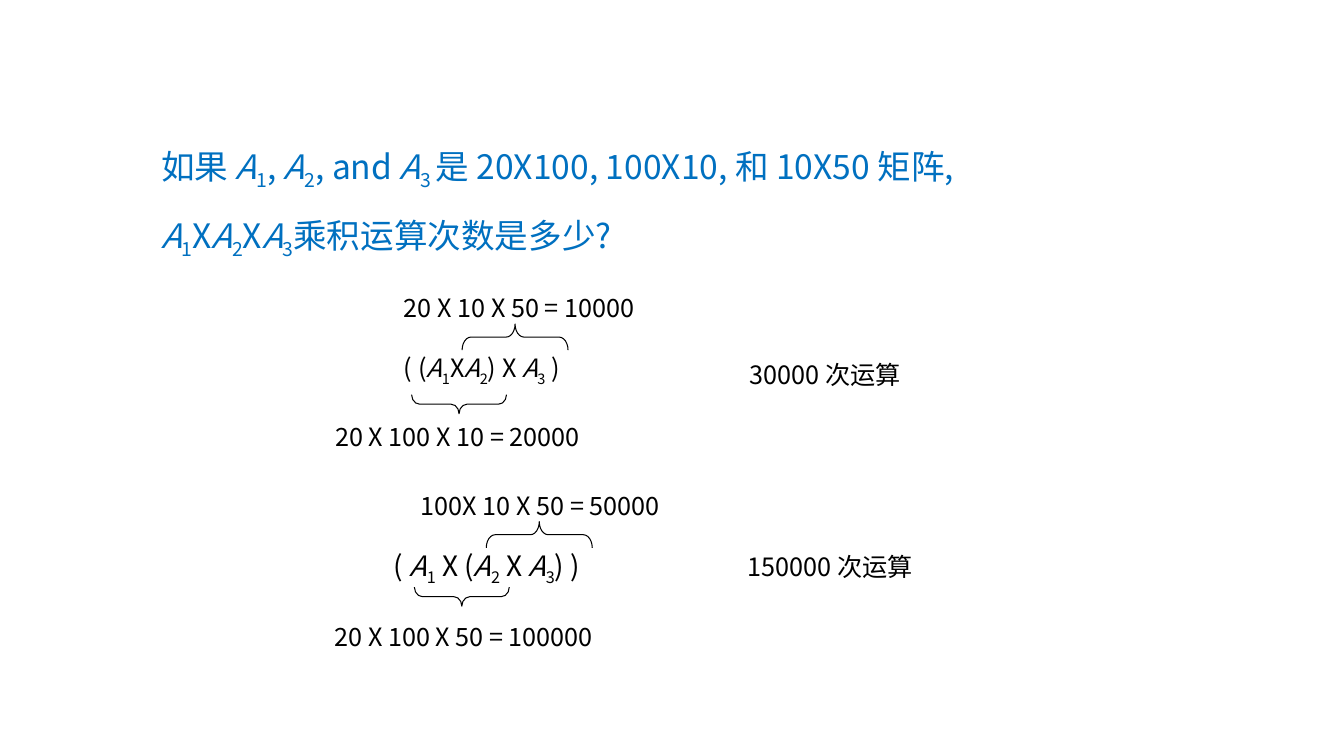
from dataclasses import dataclass

from lxml import etree
from pptx import Presentation
from pptx import util as u
from pptx.dml.color import RGBColor
from pptx.enum import shapes
from pptx.oxml import ns


@dataclass(frozen=True)
class Theme:
    font: str = "Noto Sans CJK SC"
    ink: RGBColor = RGBColor(0, 0, 0)
    blue: RGBColor = RGBColor(0x00, 0x70, 0xC0)
    ask: int = 24
    large: int = 20
    base: int = 18
    line: float = 0.75


THEME = Theme()


def add_run(para, words, size, color):
    run = para.add_run()
    run.text = words
    run.font.name = THEME.font
    run.font.size = u.Pt(size)
    run.font.color.rgb = color
    props = run.font._element
    etree.SubElement(props, ns.qn("a:ea")).set("typeface", THEME.font)
    return run


def add_text(slide, words, left, top, width, high=1.02,
             size=THEME.base, color=THEME.ink, space=1.0):
    box = slide.shapes.add_textbox(u.Cm(left), u.Cm(top), u.Cm(width), u.Cm(high))
    frame = box.text_frame
    frame.word_wrap = True
    para = frame.paragraphs[0]
    para.line_spacing = space
    # "|" cycles through plain, italic and subscript runs
    for index, part in enumerate(words.split("|")):
        run = add_run(para, part, size, color)
        if index % 3 == 1:
            run.font.italic = True
        elif index % 3 == 2:
            run.font._element.set("baseline", "-25000")


def add_brace(slide, left, top, width, high, turn, curve):
    brace = slide.shapes.add_shape(
        shapes.MSO_SHAPE.LEFT_BRACE,
        u.Cm(left), u.Cm(top), u.Cm(width), u.Cm(high))
    brace.rotation = turn
    brace.adjustments[0] = curve
    brace.shadow.inherit = False
    brace.fill.background()
    brace.line.color.rgb = THEME.ink
    brace.line.width = u.Pt(THEME.line)


def add_upper(slide, left, top):
    add_brace(slide, left, top, 0.66, 2.67, 90, 0.34)


def add_lower(slide, left, top):
    add_brace(slide, left, top, 0.48, 2.39, 270, 0.42)


def main():
    deck = Presentation()
    deck.slide_width, deck.slide_height = u.Cm(33.87), u.Cm(19.05)
    slide = deck.slides.add_slide(deck.slide_layouts[6])

    add_text(slide,
             "如果 |A|1|, |A|2|, and |A|3 |是 20X100, 100X10, 和 10X50 矩阵, "
             "|A|1|X|A|2|X|A|3|乘积运算次数是多少?",
             3.81, 2.97, 22.73, 3.33, THEME.ask, THEME.blue, 1.5)

    add_text(slide, "20 X 10 X 50 = 10000", 9.93, 7.24, 7.06)
    add_upper(slide, 12.65, 7.16)
    add_text(slide, "( (|A|1|X|A|2|) X |A|3| )", 9.93, 8.76, 5.74)
    add_lower(slide, 11.33, 8.99)
    add_text(slide, "20 X 100 X 10 = 20000", 8.2, 10.49, 8.1)
    add_text(slide, "30000 次运算", 18.64, 8.92, 4.88)

    add_text(slide, "100X 10 X 50 = 50000", 10.36, 12.24, 7.42)
    add_upper(slide, 13.26, 12.14)
    add_text(slide, "( |A|1| X (|A|2| X |A|3|) )",
             9.68, 13.69, 6.15, 1.32, THEME.large)
    add_lower(slide, 11.4, 13.84)
    add_text(slide, "20 X 100 X 50 = 100000", 8.18, 15.52, 10.36)
    add_text(slide, "150000 次运算", 18.59, 13.77, 5.51)

    deck.save("out.pptx")


if __name__ == "__main__":
    main()
